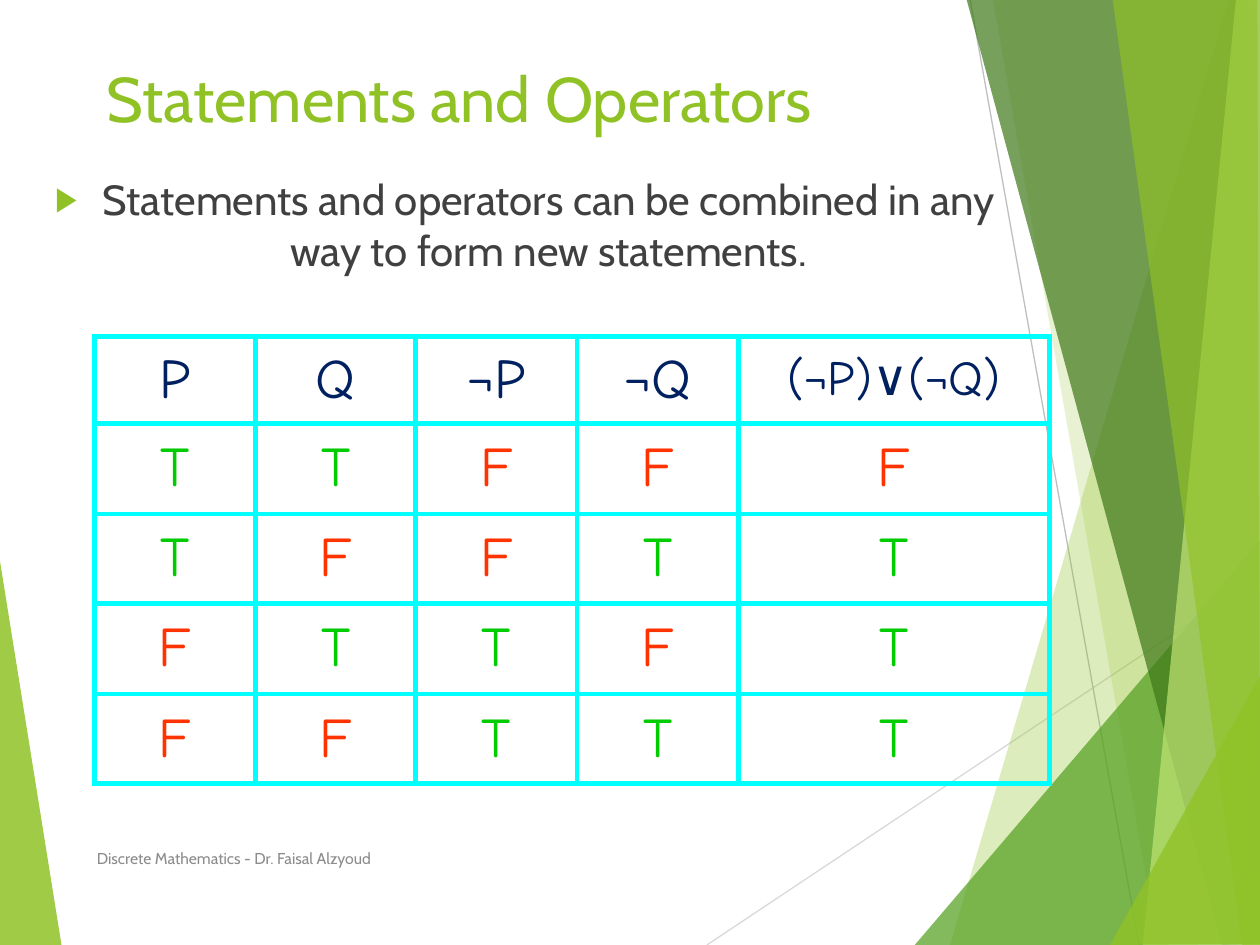
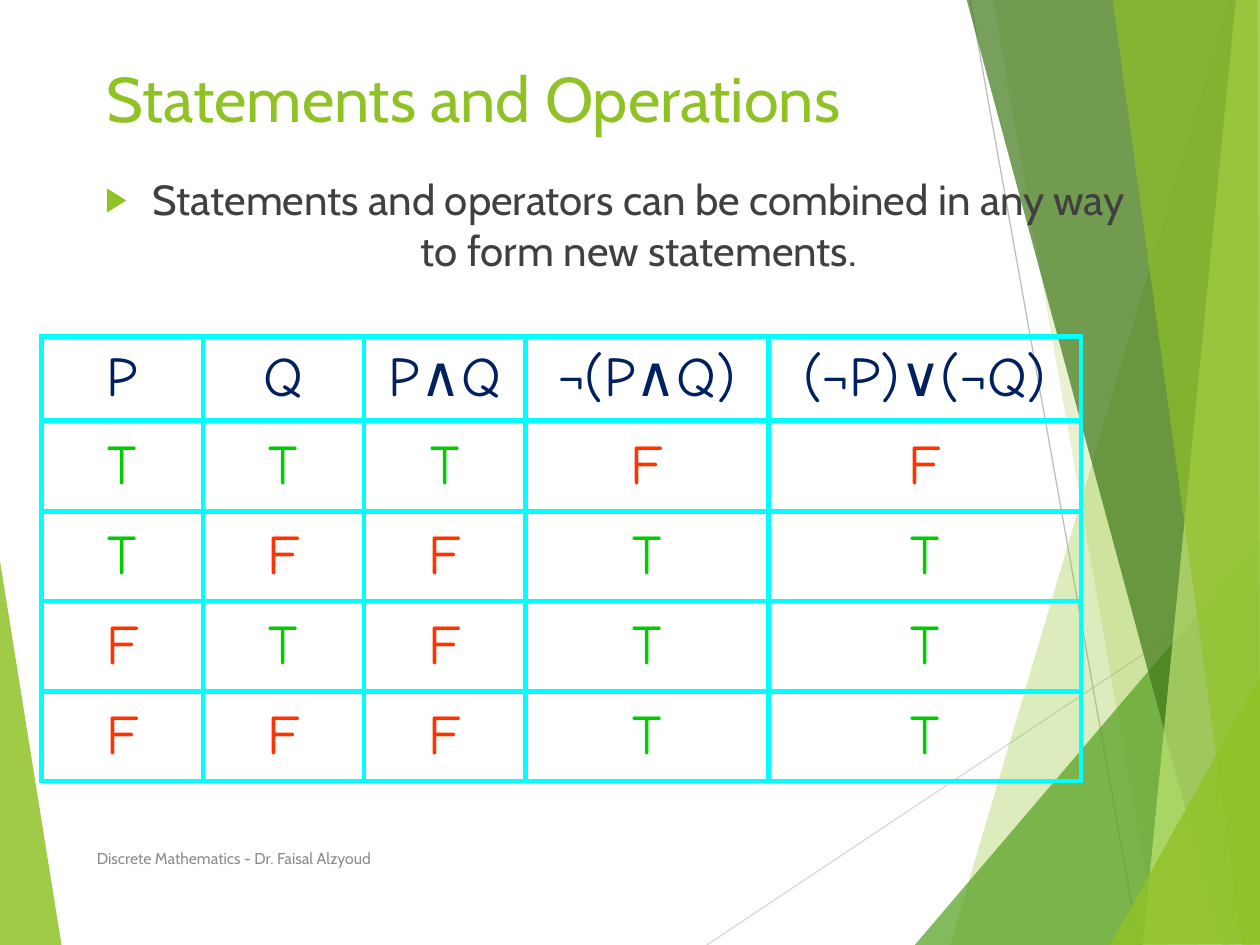
import lxml.etree
import pptx
import pptx.dml.color
import pptx.enum.shapes
import pptx.enum.text
import pptx.oxml.ns
import pptx.util

Inches = pptx.util.Inches
Pt = pptx.util.Pt
qn = pptx.oxml.ns.qn
ALIGN = pptx.enum.text.PP_ALIGN
ANCHOR = pptx.enum.text.MSO_ANCHOR

LIME = "90C226"
CYAN = "00FFFF"
TRUTH = {"T": "00CC00", "F": "FF3300"}
NAVY = "002060"

FORMATS = {
    "title": dict(name="Cabin", size=Pt(36), color=LIME),
    "body": dict(name="Cabin", size=Pt(24), color="404040"),
    "foot": dict(name="Cabin", size=Pt(9), color="8C8C8C"),
    "cell": dict(name="Comic Neue", size=Pt(32), bold=False),
}

# Facets, from back to front: colour, opacity in percent, corners in inches
FACETS = [
    (LIME, 30, [(9.75, 0), (7.54, 7.5), (10.02, 7.51), (10.01, 0.01)]),
    (LIME, 20, [(7.88, -0.01), (9.19, 7.5), (10.01, 7.5), (10.01, -0.01)]),
    ("54A021", 72, [(7.26, 7.5), (10, 4.29), (10.01, 7.5)]),
    ("3F7819", 70, [(7.67, -0.01), (9.7, 7.5), (10.01, 7.49), (10.01, -0.01)]),
    ("C0E474", 70, [(9.81, -0.01), (9.07, 7.5), (10.01, 7.5), (10, -0.01)]),
    (LIME, 65, [(8.83, -0.01), (9.86, 7.5), (10, 7.5), (9.98, -0.01)]),
    (LIME, 80, [(8.81, 7.5), (10.01, 5.35), (10.01, 7.49)]),
]
LEFT_FACET = (LIME, 85, [(-0.01, 4.39), (0.49, 7.51), (-0.01, 7.5)])
LINES = [("D9D9D9", (5.61, 7.5), (10.01, 4.57)),
         ("BFBFBF", (7.7, 0), (9.04, 7.5))]

CLAIM = ("Statements and operators can be combined in any way "
         "to form new statements.")
FOOT = "Discrete Mathematics - Dr. Faisal Alzyoud"
HIGHS = [0.72, 0.71, 0.72, 0.71]

SLIDES = [
    dict(title="Statements and Operators", body=(0.33, 1.33, 7.67, 0.92),
         spot=(0.75, 2.67), wides=[1.28, 1.27, 1.28, 1.28, 2.47], head=0.69,
         last=28, rows=[["P", "Q", "¬P", "¬Q", "(¬P)∨(¬Q)"],
                        "TTFFF", "TFFTT", "FTTFT", "FFTTT"]),
    dict(title="Statements and Operations", body=(0.67, 1.33, 8.42, 0.92),
         spot=(0.33, 2.67), wides=[1.28, 1.28, 1.28, 1.93, 2.48], head=0.67,
         last=32, rows=[["P", "Q", "P∧Q", "¬(P∧Q)", "(¬P)∨(¬Q)"],
                        "TTTFF", "TFFTT", "FTFTT", "FFFTT"]),
]


def tint(code):
    return pptx.dml.color.RGBColor.from_string(code)


def add_node(parent, tag, **values):
    """Append an XML child such as a:ln with the given attributes."""
    node = lxml.etree.SubElement(parent, qn(tag))
    for key, value in values.items():
        node.set(key, str(value))
    return node


class Deck:
    """Holds the file, the current slide and the shared style."""

    def __init__(self):
        self.file = pptx.Presentation()
        self.file.slide_width = Inches(10)
        self.file.slide_height = Inches(7.5)
        self.slide = None

    def start(self):
        self.slide = self.file.slides.add_slide(self.file.slide_layouts[6])
        self.facet(*LEFT_FACET)
        for line in LINES:
            self.line(*line)
        for facet in FACETS:
            self.facet(*facet)

    def facet(self, color, solid, points):
        first, *rest = [(Inches(x), Inches(y)) for x, y in points]
        pen = self.slide.shapes.build_freeform(*first)
        pen.add_line_segments(rest, close=True)
        shape = pen.convert_to_shape()
        shape.shadow.inherit = False
        shape.fill.solid()
        shape.fill.fore_color.rgb = tint(color)
        paint = next(shape.element.spPr.iter(qn("a:srgbClr")))
        add_node(paint, "a:alpha", val=solid * 1000)
        shape.line.fill.background()

    def line(self, color, start, end):
        ends = [Inches(value) for value in start + end]
        line = self.slide.shapes.add_connector(
            pptx.enum.shapes.MSO_CONNECTOR.STRAIGHT, *ends)
        line.line.color.rgb = tint(color)
        line.line.width = Pt(0.75)
        add_node(line.element.spPr, "a:effectLst")

    def style(self, para, kind, **extra):
        for key, value in {**FORMATS[kind], **extra}.items():
            if key == "color":
                para.font.color.rgb = tint(value)
            else:
                setattr(para.font, key, value)

    def text(self, words, kind, place, anchor=ANCHOR.TOP, bullet=False):
        box = self.slide.shapes.add_textbox(*map(Inches, place))
        frame = box.text_frame
        frame.word_wrap = True
        frame.vertical_anchor = anchor
        para = frame.paragraphs[0]
        para.text = words
        if bullet:
            self.bullet(para)
        self.style(para, kind)

    def bullet(self, para):
        """Centre the paragraph and give it a hanging triangle."""
        para.alignment = ALIGN.CENTER
        props = para._p.get_or_add_pPr()
        props.set("marL", str(Inches(0.38)))
        props.set("indent", str(-Inches(0.38)))
        add_node(add_node(props, "a:buClr"), "a:srgbClr", val=LIME)
        add_node(props, "a:buSzPct", val=80000)
        add_node(props, "a:buFont", typeface="Cabin")
        add_node(props, "a:buChar", char="▶")

    def table(self, rows, spot, wides, head, last):
        """Draw a truth table; last is the type size of its last heading."""
        highs = [head] + HIGHS
        size = (sum(wides), sum(highs))
        grid = self.slide.shapes.add_table(
            len(rows), len(wides), *map(Inches, spot + size)).table
        grid.first_row = grid.horz_banding = False
        for col, wide in zip(grid.columns, wides):
            col.width = Inches(wide)
        for row, high, words in zip(grid.rows, highs, rows):
            row.height = Inches(high)
            for cell, word in zip(row.cells, words):
                self.cell(cell, word)
        self.style(grid.cell(0, len(wides) - 1).text_frame.paragraphs[0],
                   "cell", size=Pt(last))

    def cell(self, cell, word):
        cell.vertical_anchor = ANCHOR.MIDDLE
        para = cell.text_frame.paragraphs[0]
        para.text = word
        para.alignment = ALIGN.CENTER
        self.style(para, "cell", color=TRUTH.get(word, NAVY))
        props = cell._tc.get_or_add_tcPr()
        for side in "LRTB":
            edge = add_node(props, "a:ln" + side, w=Pt(3))
            add_node(add_node(edge, "a:solidFill"), "a:srgbClr", val=CYAN)
        cell.fill.background()


def main():
    deck = Deck()
    for page in SLIDES:
        deck.start()
        deck.text(CLAIM, "body", page["body"], bullet=True)
        deck.text(page["title"], "title", (0.75, 0.42, 8.5, 0.75))
        deck.table(page["rows"], page["spot"], page["wides"],
                   page["head"], page["last"])
        deck.text(FOOT, "foot", (0.67, 6.61, 5.06, 0.4), ANCHOR.MIDDLE)
    deck.file.save("out.pptx")


if __name__ == "__main__":
    main()
